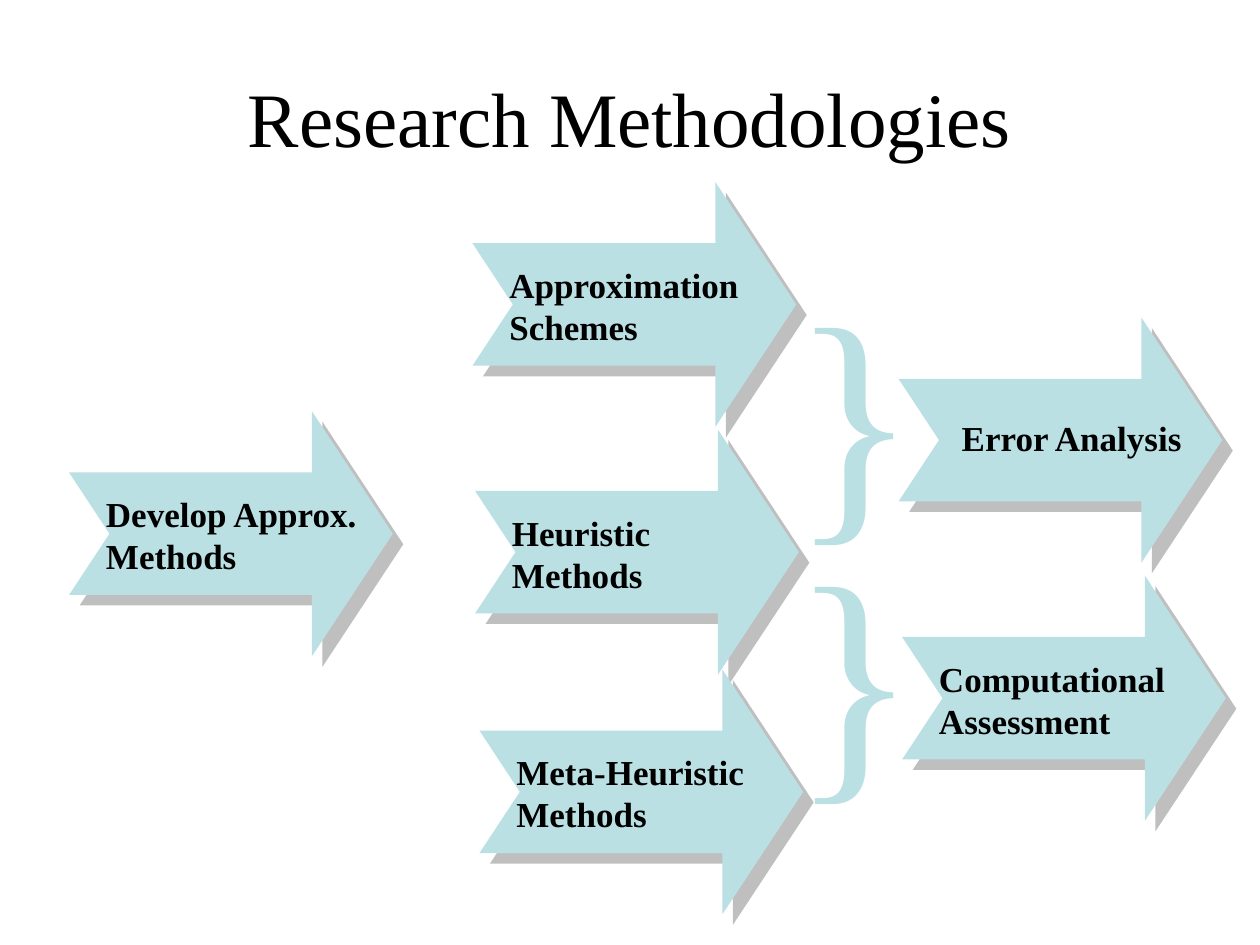
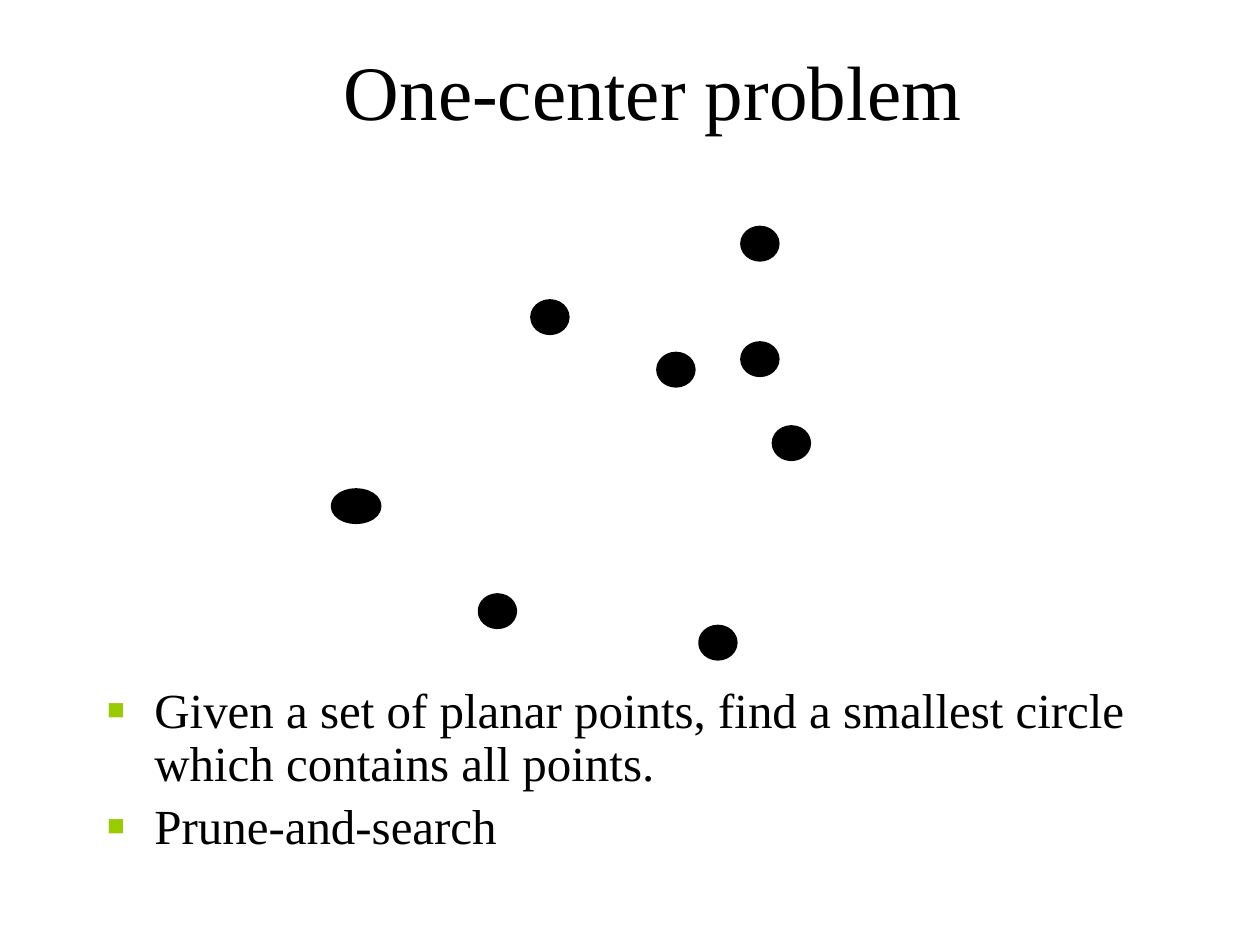
import pptx
import pptx.util
import pptx.dml.color
import pptx.enum.shapes
import pptx.enum.text
import pptx.oxml
import pptx.oxml.ns

Pt = pptx.util.Pt
RGB = pptx.dml.color.RGBColor
SHAPE = pptx.enum.shapes.MSO_SHAPE
ALIGN = pptx.enum.text.PP_ALIGN
FIT = pptx.enum.text.MSO_AUTO_SIZE

BLACK = RGB(0, 0, 0)
TEAL = RGB(0xBB, 0xE0, 0xE3)
LIME = RGB(0x99, 0xCC, 0x00)
GREY = RGB(0x80, 0x80, 0x80)
FONT = "Times New Roman"
ARROW = (185, 140)
DOT = (16.5, 14.5)

STEPS = [  # left, top, label
    (39.5, 235, "Develop Approx.\nMethods"),
    (270, 104, "Approximation\nSchemes"),
    (271.5, 245.5, "Heuristic\nMethods"),
    (274, 382.5, "Meta-Heuristic\nMethods"),
]
DOTS = [
    (306, 174), (426, 198), (444, 246), (426, 132),
    (378, 204), (276, 342), (402, 360),
]
GOALS = [
    "Given a set of planar points, find a smallest circle which contains all points.",
    "Prune-and-search",
]


def node(tag, body="", **attrs):
    """Make a drawing element with the given attributes."""
    pairs = "".join(f' {key}="{val}"' for key, val in attrs.items())
    space = pptx.oxml.ns.nsdecls("a")
    return pptx.oxml.parse_xml(f"<a:{tag} {space}{pairs}>{body}</a:{tag}>")


def color(rgb, extra=""):
    return f'<a:srgbClr val="{rgb}">{extra}</a:srgbClr>'


def place(shape, left, top, width, height):
    shape.left, shape.top = Pt(left), Pt(top)
    shape.width, shape.height = Pt(width), Pt(height)


def write(frame, text, size=20, tint=BLACK, bold=False, align=None,
          wrap=True, lines=None, gap=0, bullet=None):
    frame.word_wrap = wrap
    frame.auto_size = FIT.NONE
    for i, line in enumerate(text.split("\n")):
        para = frame.add_paragraph() if i else frame.paragraphs[0]
        para.alignment = align
        para.line_spacing = lines
        para.space_before = Pt(gap if i else 0)
        if bullet:
            mark(para, bullet)
        run = para.add_run()
        run.text = line
        run.font.name, run.font.size = FONT, Pt(size)
        run.font.bold = bold
        run.font.color.rgb = tint


def mark(para, sign):
    """Give a paragraph a hanging lime bullet."""
    props = para._p.get_or_add_pPr()
    props.set("marL", str(Pt(27)))
    props.set("indent", str(-Pt(27)))
    props.append(node("buClr", color(LIME)))
    props.append(node("buSzPct", val=60000))
    props.append(node("buChar", char=sign))


def head(slide, text, *box):
    place(slide.shapes.title, *box)
    write(slide.shapes.title.text_frame, text, size=44, align=ALIGN.CENTER)


def label(shapes, text, left, top, width, height, **style):
    box = shapes.add_textbox(Pt(left), Pt(top), Pt(width), Pt(height))
    write(box.text_frame, text, **style)


def solid(shapes, kind, left, top, width, height, fill):
    shape = shapes.add_shape(kind, Pt(left), Pt(top), Pt(width), Pt(height))
    shape.shadow.inherit = False
    shape.fill.solid()
    shape.fill.fore_color.rgb = fill
    shape.line.fill.background()
    return shape


def step(slide, left, top, text, shift=(14, 43), size=(164, 55.5)):
    """Add a shadowed notched arrow grouped with its label."""
    group = slide.shapes.add_group_shape().shapes
    arrow = solid(group, SHAPE.NOTCHED_RIGHT_ARROW, left, top, *ARROW, TEAL)
    arrow.adjustments[0], arrow.adjustments[1] = 0.5, 0.33
    shade = node("outerShdw", color(GREY, '<a:alpha val="50000"/>'),
                 dist=Pt(8.5), dir=45 * 60000, algn="ctr", rotWithShape=0)
    arrow._element.spPr.find(pptx.oxml.ns.qn("a:effectLst")).append(shade)
    label(group, text, left + shift[0], top + shift[1], *size, bold=True)
    return group


def brace(group, top):
    label(group, "}", 445.5, top, 86.4, 187, size=150, tint=TEAL, wrap=False)


def dot(slide, left, top, width=DOT[0]):
    shape = solid(slide.shapes, SHAPE.OVAL, left, top, width, DOT[1], BLACK)
    shape.line.color.rgb = BLACK
    shape.line.width = Pt(6)


def methods(deck):
    slide = deck.slides.add_slide(deck.slide_layouts[5])
    head(slide, "Research Methodologies", 36, 21.6, 648, 90)
    for left, top, text in STEPS:
        step(slide, left, top, text)
    error = step(slide, 513.5, 181.5, "Error Analysis", (29, 53), (147, 31))
    brace(error, 138)
    test = step(slide, 515.5, 329, "Computational\nAssessment")
    brace(test, 286)


def center(deck):
    slide = deck.slides.add_slide(deck.slide_layouts[1])
    head(slide, "One-center problem ", 72, 18, 613.5, 66)
    dot(slide, 192, 282, width=23)
    for left, top in DOTS:
        dot(slide, left, top)
    body = slide.placeholders[1]
    place(body, 54, 388.5, 612, 151.5)
    write(body.text_frame, "\n".join(GOALS), size=28, lines=0.9,
          gap=5.6, bullet="■")


def main():
    deck = pptx.Presentation()
    deck.slide_width, deck.slide_height = Pt(720), Pt(540)
    methods(deck)
    center(deck)
    deck.save("out.pptx")


if __name__ == "__main__":
    main()
